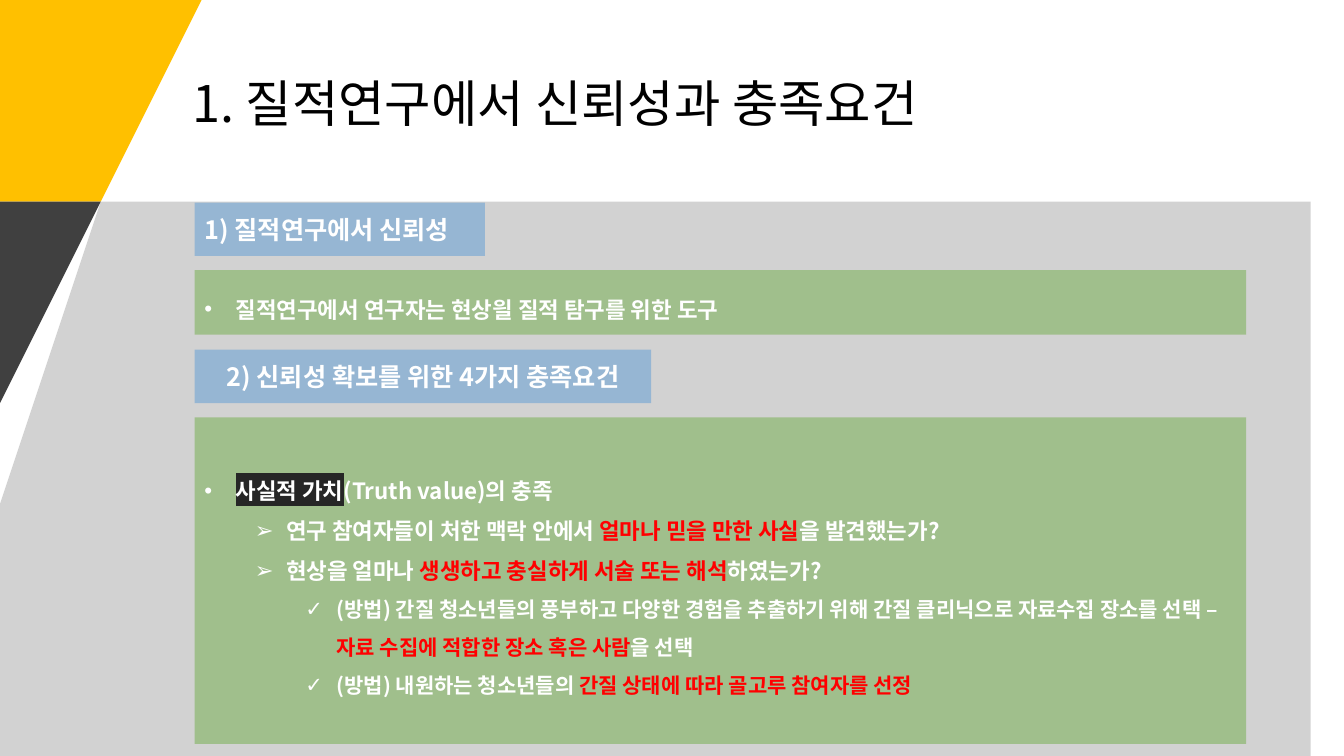
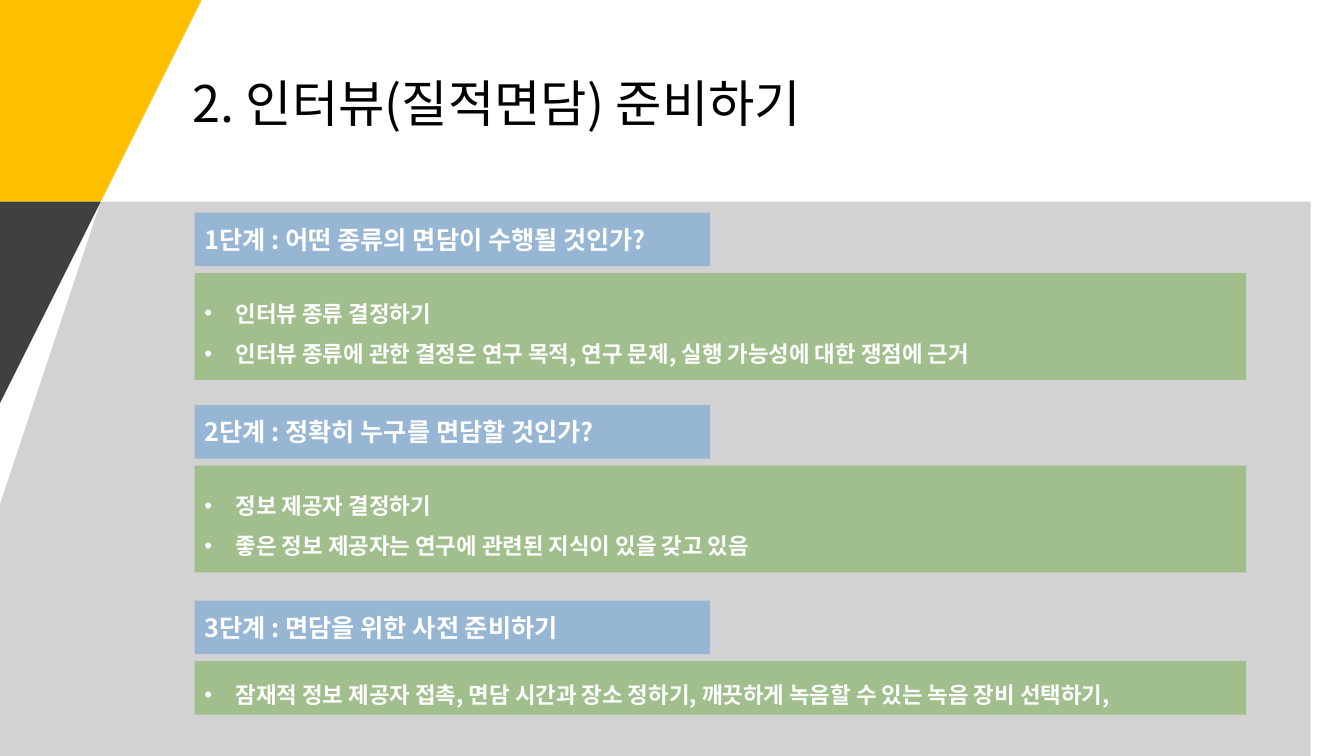
from dataclasses import dataclass
from lxml import etree
from pptx import Presentation
from pptx.dml.color import RGBColor
from pptx.enum import shapes, text
from pptx.oxml import ns
from pptx.util import Inches, Pt


@dataclass(frozen=True)
class Theme:
    font: str = "Noto Sans CJK KR"
    black: str = "000000"
    white: str = "FFFFFF"
    gold: str = "FFC000"
    dark: str = "404040"
    gray: str = "A6A6A6"
    blue: str = "5B9BD5"
    green: str = "70AD47"
    red: str = "FF0000"
    mark: str = "262626"
    title: int = 36
    head: int = 18
    sizes: tuple = (16, 16, 15)
    bullets: tuple = ("•", "➢", "✓")


T = Theme()
WIDE, HIGH = 13.33, 7.5
LEFT, BAND = 1.93, 1.85
PANEL, HEAD = 10.43, 0.53


def paint(shape, color, alpha=100):
    shape.shadow.inherit = False
    shape.line.fill.background()
    shape.fill.solid()
    shape.fill.fore_color.rgb = RGBColor.from_string(color)
    if alpha < 100:
        tone = shape.fill._xPr.find(ns.qn("a:solidFill"))[0]
        etree.SubElement(tone, ns.qn("a:alpha"), val=str(alpha * 1000))


def style(run, size, color, bold=True, mark=None):
    font = run.font
    font.size, font.bold, font.name = Pt(size), bold, T.font
    font.color.rgb = RGBColor.from_string(color)
    props = run._r.get_or_add_rPr()
    east = etree.Element(ns.qn("a:ea"), typeface=T.font)
    props.find(ns.qn("a:latin")).addnext(east)
    if mark:
        light = etree.Element(ns.qn("a:highlight"))
        etree.SubElement(light, ns.qn("a:srgbClr"), val=mark)
        props.find(ns.qn("a:solidFill")).addnext(light)


def bullet(para, level):
    para.level = level
    para.line_spacing = 1.5
    props = para._p.get_or_add_pPr()
    props.set("marL", str(Inches(0.31 + 0.5 * level)))
    props.set("indent", str(Inches(-0.31)))
    etree.SubElement(props, ns.qn("a:buFont"), typeface="Arial")
    etree.SubElement(props, ns.qn("a:buChar"), char=T.bullets[level])


def outline(slide, points, color, alpha=100):
    pen = slide.shapes.build_freeform(*points[0], scale=Inches(1))
    pen.add_line_segments(points[1:], close=True)
    paint(pen.convert_to_shape(), color, alpha)


def block(slide, box, color):
    shape = slide.shapes.add_shape(shapes.MSO_SHAPE.RECTANGLE, *map(Inches, box))
    paint(shape, color, 50)
    frame = shape.text_frame
    frame.word_wrap = True
    frame.vertical_anchor = text.MSO_ANCHOR.MIDDLE
    return frame


def title(slide, box, words):
    frame = slide.shapes.add_textbox(*map(Inches, box)).text_frame
    frame.word_wrap = True
    frame.vertical_anchor = text.MSO_ANCHOR.MIDDLE
    frame.text = words
    para = frame.paragraphs[0]
    para.line_spacing = 0.9
    style(para.runs[0], T.title, T.black, False)


def head(slide, box, words, align):
    frame = block(slide, box, T.blue)
    frame.text = words
    para = frame.paragraphs[0]
    para.alignment = align
    style(para.runs[0], T.head, T.white)


def panel(slide, box, items):
    frame = block(slide, box, T.green)
    for i, (level, *parts) in enumerate(items):
        para = frame.add_paragraph() if i else frame.paragraphs[0]
        para.alignment = text.PP_ALIGN.LEFT
        bullet(para, level)
        for part in parts:
            words, color, mark = part if isinstance(part, tuple) else (part, T.white, None)
            run = para.add_run()
            run.text = words
            style(run, T.sizes[level], color, mark=mark)


def section(slide, box, gap, words, items, align=text.PP_ALIGN.LEFT):
    left, top, wide, high = box
    head(slide, (left, top, wide, HEAD), words, align)
    panel(slide, (left, top + HEAD + gap, PANEL, high), items)


def base(deck, words):
    slide = deck.slides.add_slide(deck.slide_layouts[6])
    title(slide, (1.81, 0.4, 10.24, 1.3), words)
    outline(slide, [(0, 0), (LEFT, 0), (1.14, 1.7), (0, 1.7)], T.gold)
    outline(slide, [(1.32, BAND), (WIDE, BAND), (WIDE, HIGH), (0, HIGH), (0, 4.7)], T.gray, 50)
    outline(slide, [(0, BAND), (1.06, BAND), (0, 4.14)], T.dark)
    return slide


def red(words):
    return words, T.red, None


def trust(deck):
    slide = base(deck, "1. 질적연구에서 신뢰성과 충족요건")
    section(slide, (LEFT, 2.01, 2.88, 0.64), 0.14, "1) 질적연구에서 신뢰성",
            [(0, "질적연구에서 연구자는 현상읠 질적 탐구를 위한 도구")])
    needs = [
        (0, ("사실적 가치", T.white, T.mark), "(Truth value)의 충족"),
        (1, "연구 참여자들이 처한 맥락 안에서 ", red("얼마나 믿을 만한 사실"), "을 발견했는가?"),
        (1, "현상을 얼마나 ", red("생생하고 충실하게 서술 또는 해석"), "하였는가?"),
        (2, "(방법) 간질 청소년들의 풍부하고 다양한 경험을 추출하기 위해 "
            "간질 클리닉으로 자료수집 장소를 선택 – ",
         red("자료 수집에 적합한 장소 혹은 사람"), "을 선택"),
        (2, "(방법) 내원하는 청소년들의 ", red("간질 상태에 따라 골고루 참여자를 선정")),
    ]
    section(slide, (LEFT, 3.47, 4.53, 3.24), 0.14, "2) 신뢰성 확보를 위한 4가지 충족요건",
            needs, text.PP_ALIGN.CENTER)


def stages(deck):
    slide = base(deck, "2. 인터뷰(질적면담) 준비하기")
    steps = [
        (2.11, 1.06, "1단계 : 어떤 종류의 면담이 수행될 것인가?",
         ["인터뷰 종류 결정하기",
          "인터뷰 종류에 관한 결정은 연구 목적, 연구 문제, 실행 가능성에 대한 쟁점에 근거"]),
        (4.02, 1.06, "2단계 : 정확히 누구를 면담할 것인가?",
         ["정보 제공자 결정하기",
          "좋은 정보 제공자는 연구에 관련된 지식이 있을 갖고 있음"]),
        (5.96, 0.53, "3단계 : 면담을 위한 사전 준비하기",
         ["잠재적 정보 제공자 접촉, 면담 시간과 장소 정하기, "
          "깨끗하게 녹음할 수 있는 녹음 장비 선택하기,"]),
    ]
    for top, high, words, lines in steps:
        section(slide, (LEFT, top, 5.11, high), 0.07, words, [(0, line) for line in lines])


deck = Presentation()
deck.slide_width, deck.slide_height = Inches(WIDE), Inches(HIGH)
trust(deck)
stages(deck)
deck.save("out.pptx")
